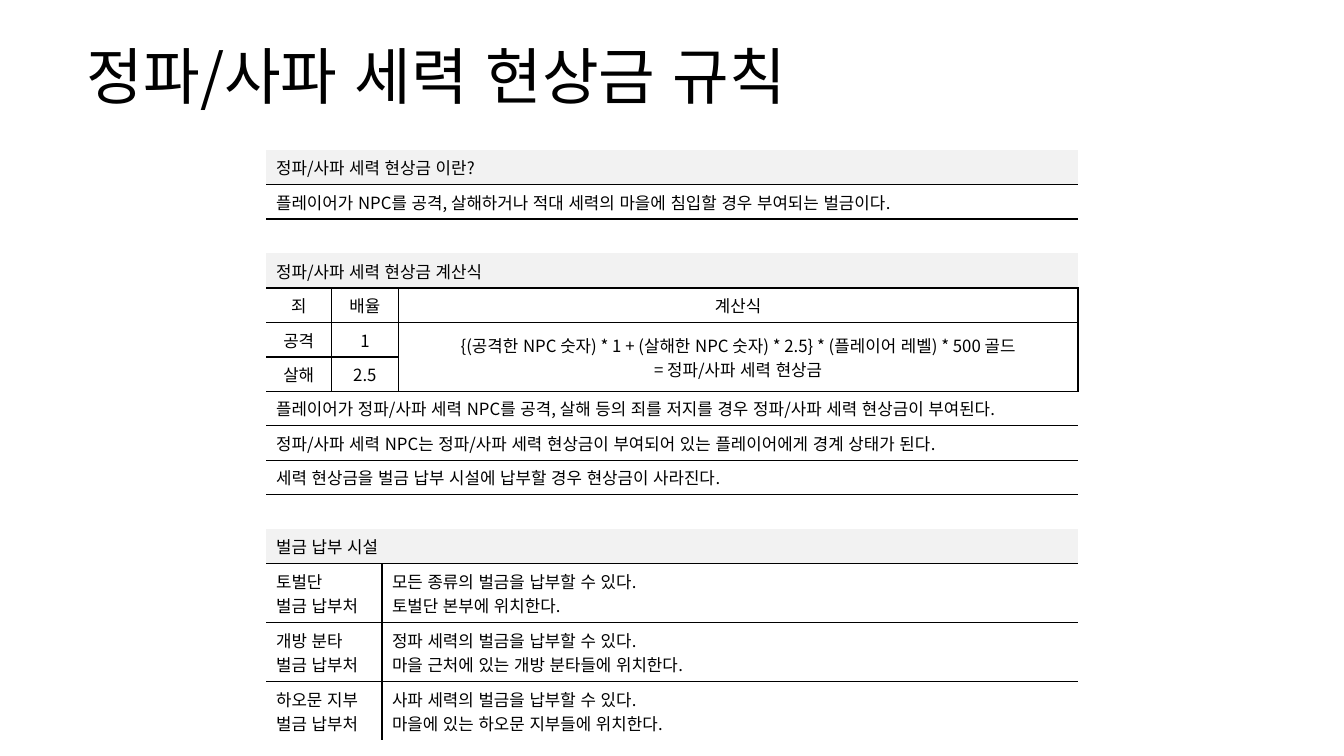
from lxml import etree
from pptx import Presentation
from pptx.dml.color import RGBColor
from pptx.enum.lang import MSO_LANGUAGE_ID
from pptx.enum.text import MSO_ANCHOR, MSO_AUTO_SIZE, PP_ALIGN
from pptx.oxml.ns import qn
from pptx.util import Pt

LEFT, CENTER = PP_ALIGN.LEFT, PP_ALIGN.CENTER
MIDDLE = MSO_ANCHOR.MIDDLE
NO_AUTOFIT = MSO_AUTO_SIZE.NONE
KOREAN = MSO_LANGUAGE_ID.KOREAN

FONT = "Noto Sans CJK KR"
BLACK, HEADING_GRAY = "000000", "F2F2F2"
NO_STYLE = "{2D5ABB26-0587-4C30-8999-92F81FD0307C}"
TITLE_ONLY = 5

COLUMN_WIDTHS = [46.8, 36, 11.7, 485.5]
COLUMN_COUNT = len(COLUMN_WIDTHS)
ROW_COUNT = 15
ROW_HEIGHT, FACILITY_HEIGHT = 24.6, 42
HEADINGS = {
    0: "정파/사파 세력 현상금 이란?",
    3: "정파/사파 세력 현상금 계산식",
    11: "벌금 납부 시설",
}
STATEMENTS = {
    1: "플레이어가 NPC를 공격, 살해하거나 적대 세력의 마을에 침입할 경우 부여되는 벌금이다.",
    7: "플레이어가 정파/사파 세력 NPC를 공격, 살해 등의 죄를 저지를 경우 정파/사파 세력 현상금이 부여된다.",
    8: "정파/사파 세력 NPC는 정파/사파 세력 현상금이 부여되어 있는 플레이어에게 경계 상태가 된다.",
    9: "세력 현상금을 벌금 납부 시설에 납부할 경우 현상금이 사라진다.",
}
SPACERS = [2, 10]
CRIMES = {4: ("죄", "배율"), 5: ("공격", "1"), 6: ("살해", "2.5")}
FORMULA = [
    "{(공격한 NPC 숫자) * 1 + (살해한 NPC 숫자) * 2.5} * (플레이어 레벨) * 500 골드",
    "= 정파/사파 세력 현상금",
]
FACILITIES = {
    12: ("토벌단", ["모든 종류의 벌금을 납부할 수 있다.", "토벌단 본부에 위치한다."]),
    13: ("개방 분타", ["정파 세력의 벌금을 납부할 수 있다.", "마을 근처에 있는 개방 분타들에 위치한다."]),
    14: ("하오문 지부", ["사파 세력의 벌금을 납부할 수 있다.", "마을에 있는 하오문 지부들에 위치한다."]),
}
# Rows with no line below them
UNRULED = [1, 2, 9, 10, 14]


def color(code):
    return RGBColor.from_string(code)


def write(frame, lines, size=12, align=LEFT, spacing=1.0):
    for index, line in enumerate(lines):
        para = frame.paragraphs[0] if index == 0 else frame.add_paragraph()
        para.alignment = align
        para.line_spacing = spacing
        span = para.add_run()
        span.text = line
        span.font.size = Pt(size)
        span.font.name = FONT
        span.font.language_id = KOREAN
        span.font.color.rgb = color(BLACK)
        east_asian = etree.SubElement(span.font._element, qn("a:ea"))
        east_asian.set("typeface", FONT)


def add_border(cell, side):
    properties = cell._tc.get_or_add_tcPr()
    line = etree.SubElement(properties, qn(f"a:ln{side}"), w=str(Pt(1)))
    fill = etree.SubElement(line, qn("a:solidFill"))
    etree.SubElement(fill, qn("a:srgbClr"), val=BLACK)


def fill_block(table, row, column, lines, rows=1, columns=1, align=LEFT, fill=None):
    """Merge a block of cells, rule its inner edges and write its text."""
    cell = table.cell(row, column)
    last_row, last_column = row + rows - 1, column + columns - 1
    if rows * columns > 1:
        cell.merge(table.cell(last_row, last_column))
    edges = {
        "L": column > 0,
        "R": last_column < COLUMN_COUNT - 1,
        "T": row > 0 and row - 1 not in UNRULED,
        "B": last_row not in UNRULED,
    }
    for side, ruled in edges.items():
        if ruled:
            add_border(cell, side)
    if fill:
        cell.fill.solid()
        cell.fill.fore_color.rgb = color(fill)
    else:
        cell.fill.background()
    cell.vertical_anchor = MIDDLE
    write(cell.text_frame, lines, align=align)


def add_title(page, left, top, width, height):
    title = page.shapes.title
    title.left, title.top, title.width, title.height = map(Pt, (left, top, width, height))
    frame = title.text_frame
    frame.word_wrap = True
    frame.auto_size = NO_AUTOFIT
    frame.vertical_anchor = MIDDLE
    write(frame, ["정파/사파 세력 현상금 규칙"], size=44, spacing=0.9)


def add_rules_table(page, left, top):
    heights = [FACILITY_HEIGHT if row in FACILITIES else ROW_HEIGHT for row in range(ROW_COUNT)]
    frame = page.shapes.add_table(
        ROW_COUNT, COLUMN_COUNT, Pt(left), Pt(top), Pt(sum(COLUMN_WIDTHS)), Pt(sum(heights)))
    table = frame.table
    table.first_row = table.horz_banding = False
    table._tbl.tblPr.find(qn("a:tableStyleId")).text = NO_STYLE
    for column, width in zip(table.columns, COLUMN_WIDTHS):
        column.width = Pt(width)
    for row, height in zip(table.rows, heights):
        row.height = Pt(height)

    # Full-width rows
    for row, text in HEADINGS.items():
        fill_block(table, row, 0, [text], columns=COLUMN_COUNT, fill=HEADING_GRAY)
    for row, text in STATEMENTS.items():
        fill_block(table, row, 0, [text], columns=COLUMN_COUNT)
    for row in SPACERS:
        fill_block(table, row, 0, [], columns=COLUMN_COUNT)

    # Crimes, multipliers and formula
    for row, (crime, multiplier) in CRIMES.items():
        fill_block(table, row, 0, [crime], align=CENTER)
        fill_block(table, row, 1, [multiplier], columns=2, align=CENTER)
    fill_block(table, 4, 3, ["계산식"], align=CENTER)
    fill_block(table, 5, 3, FORMULA, rows=2, align=CENTER)

    # Payment facilities
    for row, (name, details) in FACILITIES.items():
        fill_block(table, row, 0, [name, "벌금 납부처"], columns=2)
        fill_block(table, row, 2, details, columns=2)

    # Empty cells keep the body size so that rows do not grow
    for cell in table.iter_cells():
        if not cell.text:
            para = cell.text_frame.paragraphs[0]
            etree.SubElement(para._p, qn("a:endParaRPr"), sz="1200")


def main():
    deck = Presentation()
    deck.slide_width, deck.slide_height = Pt(960), Pt(540)
    page = deck.slides.add_slide(deck.slide_layouts[TITLE_ONLY])
    add_title(page, 54.7, 23, 850.3, 67.7)
    add_rules_table(page, 190, 107.2)
    deck.save("out.pptx")


if __name__ == "__main__":
    main()
